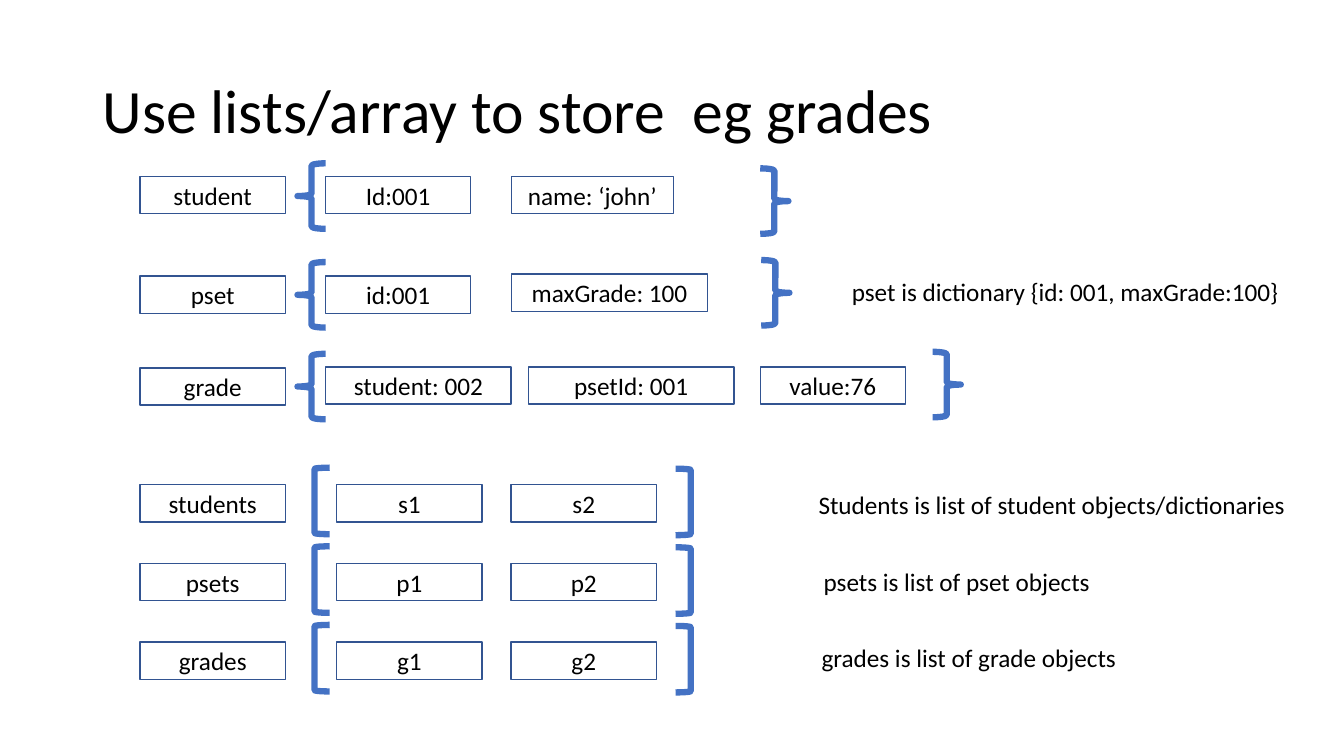
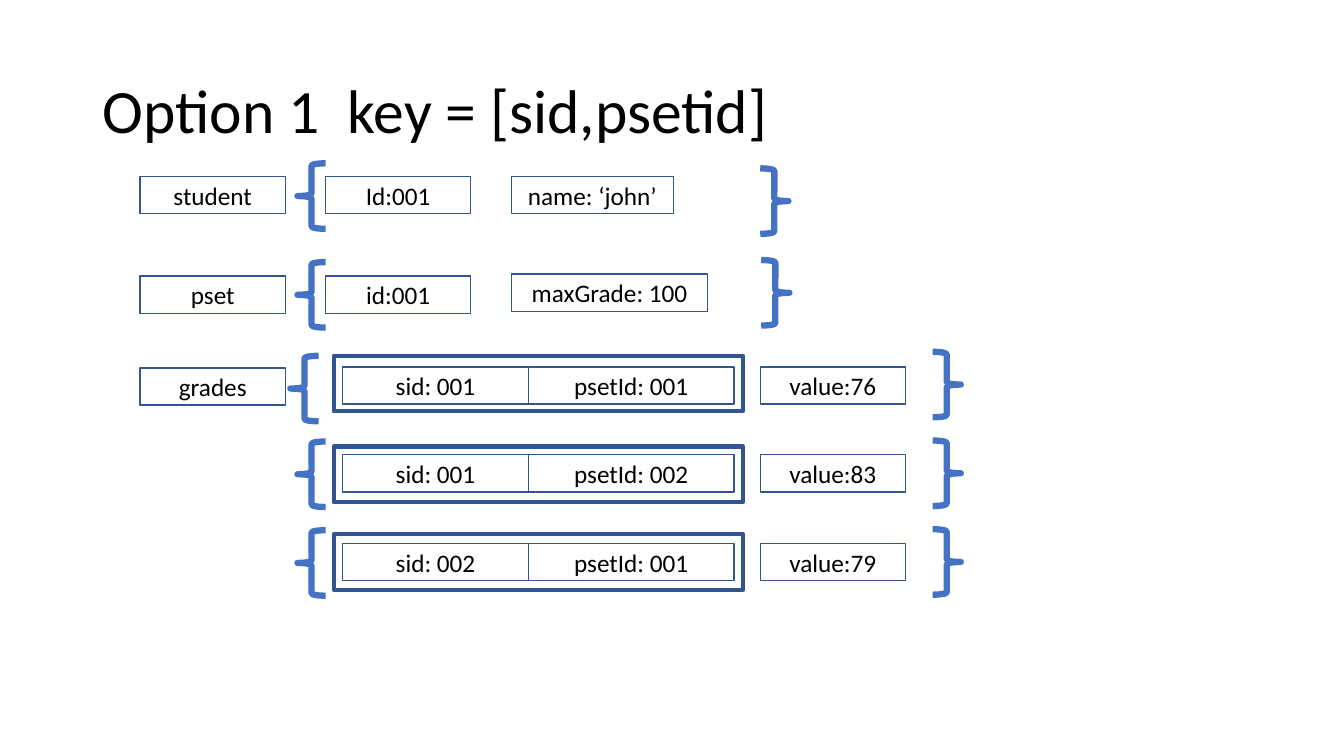
"""Build two slides on storing grades in lists and dictionaries."""
from pptx import Presentation
from pptx.dml.color import RGBColor
from pptx.enum.shapes import MSO_SHAPE
from pptx.enum.text import MSO_ANCHOR, PP_ALIGN
from pptx.util import Inches, Pt

HUES = {"text": "000000", "edge": "325491", "mark": "4472C4"}
FONT = "Calibri"
LEFT, WIDE, HIGH = 1.39, 1.44, 0.37
BRACE, TALL = 0.28, 0.65


def ink(shape, text, size=18):
    frame = shape.text_frame
    frame.word_wrap = True
    frame.text = text
    font = frame.paragraphs[0].runs[0].font
    font.name = FONT
    font.size = Pt(size)
    font.color.rgb = RGBColor.from_string(HUES["text"])
    return frame


def draw(slide, kind, x, y, w, h, hue="edge", line=1, text=""):
    shape = slide.shapes.add_shape(kind, Inches(x), Inches(y), Inches(w), Inches(h))
    shape.shadow.inherit = False
    shape.fill.background()
    shape.line.color.rgb = RGBColor.from_string(HUES[hue])
    shape.line.width = Pt(line)
    if text:
        frame = ink(shape, text)
        frame.vertical_anchor = MSO_ANCHOR.MIDDLE
        frame.paragraphs[0].alignment = PP_ALIGN.CENTER


deck = Presentation()
deck.slide_width, deck.slide_height = Inches(13.33), Inches(7.5)

shared_cells = [
    ("student", LEFT, 1.75, WIDE),
    ("Id:001", 3.23, 1.75, WIDE),
    ("name: ‘john’", 5.07, 1.75, 1.61),
    ("pset", LEFT, 2.74, WIDE),
    ("id:001", 3.23, 2.74, WIDE),
    ("maxGrade: 100", 5.07, 2.72, 1.95),
]
shared_marks = [(2.95, 1.62, 7.54, 1.67), (2.95, 2.6, 7.55, 2.58)]

list_cells = [
    ("grade", LEFT, 3.65, WIDE),
    ("student: 002", 3.23, 3.64, 1.84),
    ("psetId: 001", 5.24, 3.64, 2.04),
    ("value:76", 7.54, 3.64, WIDE),
]
list_marks = [(2.95, 3.51, 9.25, 3.49)]

key_cells = [("grades", LEFT, 3.65, WIDE)]
key_marks = [(2.88, 3.53, 9.25, 3.49), (2.95, 4.38, 9.25, 4.37), (2.95, 5.26, 9.25, 5.25)]
grades = [("001", "001", 76, 3.64), ("001", "002", 83, 4.51), ("002", "001", 79, 5.39)]
for sid, pset, value, y in grades:
    key_cells += [
        (f"sid: {sid}", 3.4, y, 1.84),
        (f"psetId: {pset}", 5.24, y, 2.04),
        (f"value:{value}", 7.54, y, WIDE),
    ]

pages = [
    ("Use lists/array to store  eg grades", list_cells, list_marks),
    ("Option 1  key = [sid,psetid]", key_cells, key_marks),
]
slides = []
for title, cells, marks in pages:
    slide = deck.slides.add_slide(deck.slide_layouts[6])
    slides.append(slide)
    head = slide.shapes.add_textbox(Inches(0.92), Inches(0.4), Inches(11.5), Inches(1.45))
    frame = ink(head, title, 44)
    frame.vertical_anchor = MSO_ANCHOR.MIDDLE
    frame.paragraphs[0].line_spacing = 0.9
    for text, x, y, w in shared_cells + cells:
        draw(slide, MSO_SHAPE.RECTANGLE, x, y, w, HIGH, text=text)
    for x1, y1, x2, y2 in shared_marks + marks:
        draw(slide, MSO_SHAPE.LEFT_BRACE, x1, y1, BRACE, TALL, "mark", 4.5)
        draw(slide, MSO_SHAPE.RIGHT_BRACE, x2, y2, BRACE, TALL, "mark", 4.5)

first, second = slides
for row, name in enumerate(["students", "psets", "grades"]):
    y = 4.81 + 0.78 * row
    cells = [(name, LEFT), (f"{name[0]}1", 3.34), (f"{name[0]}2", 5.07)]
    for text, x in cells:
        draw(first, MSO_SHAPE.RECTANGLE, x, y, WIDE, HIGH, text=text)
    draw(first, MSO_SHAPE.LEFT_BRACKET, 3.12, y - 0.17, 0.15, 0.66, "mark", 4.5)
    draw(first, MSO_SHAPE.RIGHT_BRACKET, 6.7, y - 0.16, 0.15, 0.66, "mark", 4.5)

notes = [
    ("pset is dictionary {id: 001, maxGrade:100}", 8.35, 2.69, 4.64),
    ("Students is list of student objects/dictionaries", 8.02, 4.81, 4.97),
    ("psets is list of pset objects", 8.07, 5.57, 4.64),
    ("grades is list of grade objects", 8.05, 6.32, 4.64),
]
for text, x, y, w in notes:
    note = first.shapes.add_textbox(Inches(x), Inches(y), Inches(w), Inches(0.4))
    ink(note, text)

for y in (3.53, 4.43, 5.3):
    draw(second, MSO_SHAPE.RECTANGLE, 3.31, y, 4.06, 0.55, line=3)

deck.save("out.pptx")
